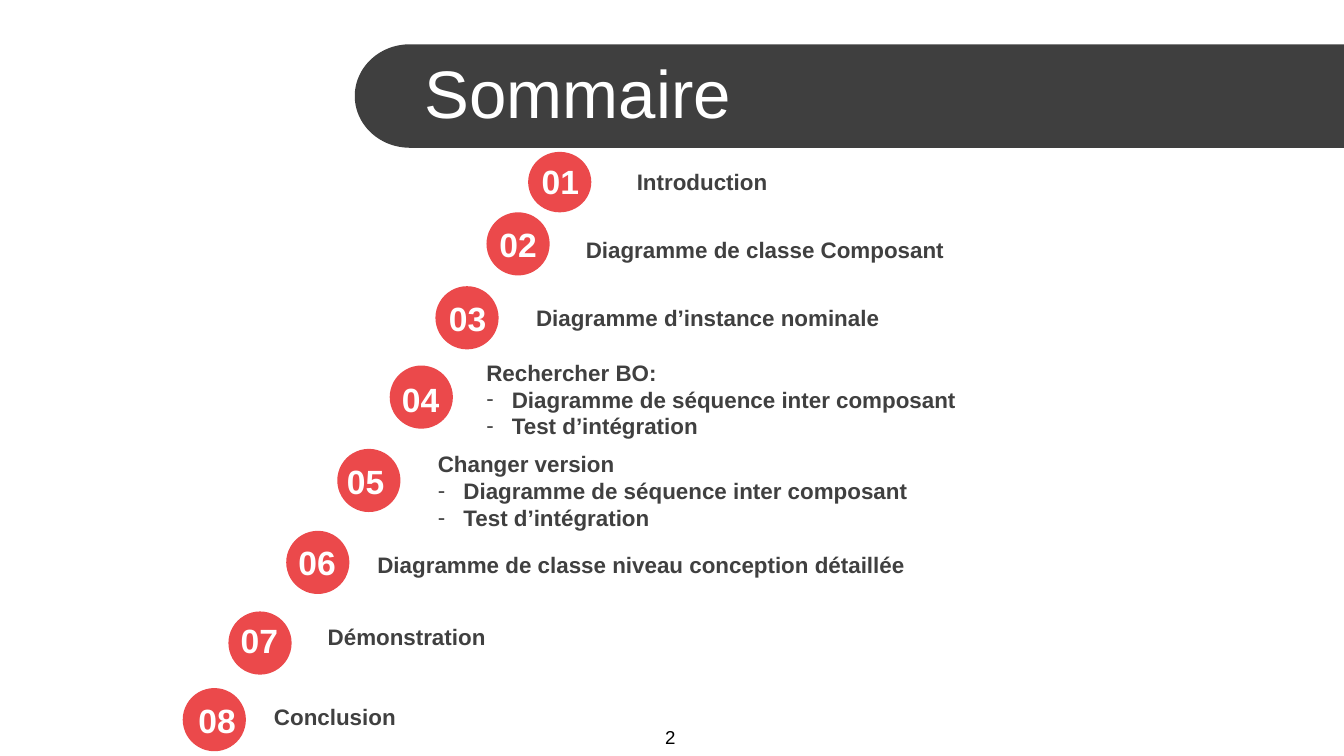
import math

from lxml import etree
from pptx import Presentation
from pptx import util as u
from pptx.dml.color import RGBColor
from pptx.enum import shapes, text
from pptx.oxml.ns import qn

FONT = "Arial"
DARK, RED, GREY, WHITE, BLACK = "3F3F3F", "EB494B", "404040", "FFFFFF", "000000"
WIDTH = 10
SIZE = 0.47
STEPS = ["Diagramme de séquence inter composant", "Test d’intégration"]

# Disc (left, top, height), number box and label box (left, top, width, height), lines
ITEMS = [
    ((3.93, 1.13, 0.45), (3.85, 1.16, 0.64, 0.38), (4.64, 1.26, 4.96, 0.18),
     ["Introduction"]),
    ((3.62, 1.58, SIZE), (3.58, 1.62, 0.55, 0.4), (4.26, 1.73, 4.48, 0.26),
     ["Diagramme de classe Composant"]),
    ((3.24, 2.13, SIZE), (3.16, 2.17, 0.64, 0.4), (3.89, 2.26, 4.96, 0.2),
     ["Diagramme d’instance nominale"]),
    ((2.9, 2.72, SIZE), (2.83, 2.77, 0.6, 0.4), (3.52, 2.7, 4.96, 0.54),
     ["Rechercher BO:"] + STEPS),
    ((2.51, 3.34, SIZE), (2.4, 3.38, 0.64, 0.4), (3.16, 3.39, 4.96, 0.52),
     ["Changer version"] + STEPS),
    ((2.13, 3.95, SIZE), (2.04, 3.98, 0.64, 0.4), (2.71, 4.09, 4.96, 0.22),
     ["Diagramme de classe niveau conception détaillée"]),
    ((1.7, 4.55, SIZE), (1.61, 4.64, 0.64, 0.25), (2.34, 4.64, 4.96, 0.19),
     ["Démonstration"]),
    ((1.36, 5.12, SIZE), (1.33, 5.16, 0.57, 0.4), (1.94, 5.22, 4.41, 0.22),
     ["Conclusion"]),
]


def color(code):
    return RGBColor.from_string(code)


def inches(box):
    return [u.Inches(n) for n in box]


def paint(shape, code):
    shape.shadow.inherit = False
    shape.fill.solid()
    shape.fill.fore_color.rgb = color(code)
    shape.line.fill.background()


def add_run(para, words, size, code, bold=False):
    run = para.add_run()
    run.text = words
    font = run.font
    font.name, font.size, font.bold = FONT, u.Pt(size), bold
    font.color.rgb = color(code)


def add_dash(para):
    props = para._p.get_or_add_pPr()
    props.set("marL", str(u.Inches(0.19)))
    props.set("indent", str(u.Inches(-0.19)))
    etree.SubElement(props, qn("a:buFont")).set("typeface", FONT)
    etree.SubElement(props, qn("a:buChar")).set("char", "-")


def add_text(parent, box, lines, size, code, bold=True, align=text.PP_ALIGN.LEFT):
    """Add a middle-anchored text box; lines after the first are dashed."""
    frame = parent.add_textbox(*inches(box)).text_frame
    frame.word_wrap = True
    frame.vertical_anchor = text.MSO_ANCHOR.MIDDLE
    frame.margin_top = frame.margin_bottom = 0
    for i, line in enumerate(lines):
        para = frame.add_paragraph() if i else frame.paragraphs[0]
        para.alignment = align
        if i:
            add_dash(para)
        add_run(para, line, size, code, bold)


def add_bar(slide):
    """Draw the title band, with a half-round left end, behind the title."""
    left, top, low, bend = 2.64, 0.33, 1.1, 3.05
    mid, half = (top + low) / 2, (low - top) / 2
    turns = [math.pi * (0.5 + i / 60) for i in range(61)]
    arc = [(bend + (bend - left) * math.cos(t), mid + half * math.sin(t))
           for t in turns]
    pen = slide.shapes.build_freeform(u.Inches(WIDTH), u.Inches(top))
    pen.add_line_segments([inches(p) for p in [(WIDTH, low)] + arc], close=True)
    bar = pen.convert_to_shape()
    paint(bar, DARK)
    slide.shapes.title.element.addprevious(bar.element)


def add_title(slide, words):
    title = slide.shapes.title
    title.left, title.top, title.width, title.height = inches((3.06, 0.37, 6.94, 0.63))
    frame = title.text_frame
    frame.auto_size = text.MSO_AUTO_SIZE.NONE
    frame.vertical_anchor = text.MSO_ANCHOR.MIDDLE
    para = frame.paragraphs[0]
    para.alignment = text.PP_ALIGN.LEFT
    add_run(para, words, 36, WHITE)


def add_item(slide, num, disc, badge, label, lines):
    group = slide.shapes.add_group_shape().shapes
    add_text(group, label, lines, 12, GREY)
    left, top, high = disc
    oval = group.add_shape(shapes.MSO_SHAPE.OVAL, *inches((left, top, SIZE, high)))
    paint(oval, RED)
    add_text(group, badge, [f"{num:02}"], 18, WHITE, align=text.PP_ALIGN.CENTER)


def main():
    deck = Presentation()
    deck.slide_width = u.Inches(WIDTH)
    deck.slide_height = u.Inches(WIDTH * 9 / 16)
    slide = deck.slides.add_slide(deck.slide_layouts[5])
    add_title(slide, "Sommaire")
    add_bar(slide)
    add_text(slide.shapes, (4.85, 5.35, 0.29, 0.27), ["2"], 10, BLACK, bold=False)
    for num, item in enumerate(ITEMS, 1):
        add_item(slide, num, *item)
    deck.save("out.pptx")


if __name__ == "__main__":
    main()
